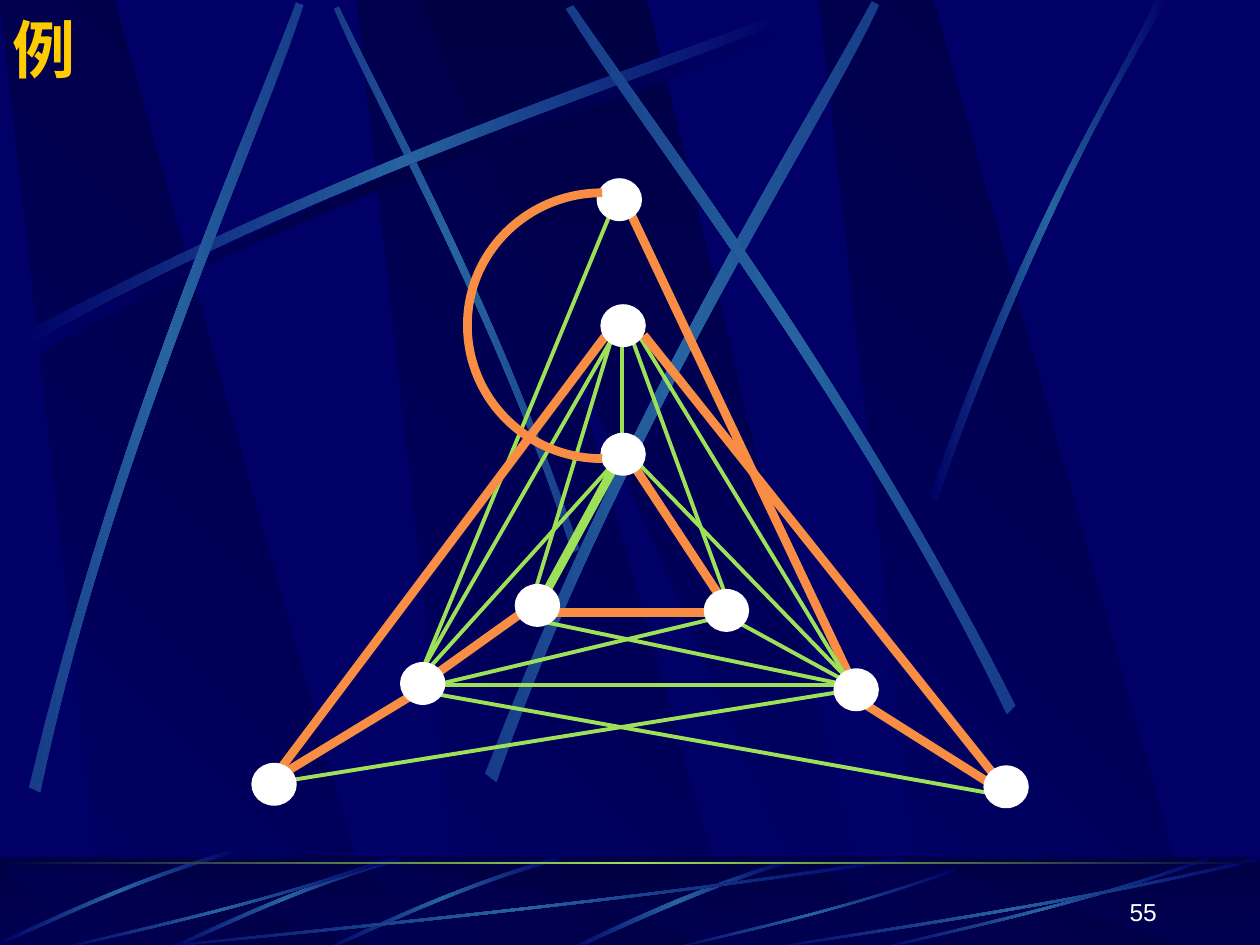
from lxml import etree
from pptx import Presentation
from pptx.dml.color import RGBColor
from pptx.enum.shapes import MSO_CONNECTOR, MSO_SHAPE
from pptx.enum.text import MSO_ANCHOR, PP_ALIGN
from pptx.oxml.ns import qn
from pptx.util import Inches, Pt

RECTANGLE, OVAL = MSO_SHAPE.RECTANGLE, MSO_SHAPE.OVAL
STRAIGHT = MSO_CONNECTOR.STRAIGHT
LEFT, RIGHT = PP_ALIGN.LEFT, PP_ALIGN.RIGHT
MIDDLE, BOTTOM = MSO_ANCHOR.MIDDLE, MSO_ANCHOR.BOTTOM

NAVY, DARK, STREAK, SOFT = "000066", "000044", "2663A0", "173C89"
GREEN, ORANGE, WHITE, YELLOW = "9CE157", "F98D43", "FFFFFF", "FFCC00"
THIN, THICK = 2.25, 5


def color(value):
    return RGBColor.from_string(value)


def scaled(points, left, top, width, height):
    return [(left + x * width, top + y * height) for x, y in points]


class GraphPage:
    """The style and the current slide."""

    def __init__(self, page):
        self.page = page
        self.shapes = page.shapes

    def background(self, value):
        fill = self.page.background.fill
        fill.solid()
        fill.fore_color.rgb = color(value)

    def paint(self, shape, colors, angle=0):
        """Fill with one colour, or with evenly spaced gradient colours."""
        shape.shadow.inherit = False
        shape.line.fill.background()
        if len(colors) == 1:
            shape.fill.solid()
            shape.fill.fore_color.rgb = color(colors[0])
            return
        shape.fill.gradient()
        shape.fill.gradient_angle = (360 - angle) % 360
        stops = shape._element.spPr.find(qn("a:gradFill")).find(qn("a:gsLst"))
        for stop in list(stops):
            stops.remove(stop)
        for index, value in enumerate(colors):
            position = round(100000 * index / (len(colors) - 1))
            stop = etree.SubElement(stops, qn("a:gs"), pos=str(position))
            etree.SubElement(stop, qn("a:srgbClr"), val=value)

    def rectangle(self, left, top, width, height, colors, angle=0, alpha=None):
        box = self.shapes.add_shape(RECTANGLE, Inches(left), Inches(top), Inches(width), Inches(height))
        self.paint(box, colors, angle)
        if alpha:
            solid = box._element.spPr.find(qn("a:solidFill"))
            etree.SubElement(solid[0], qn("a:alpha"), val=str(alpha * 1000))

    def outline(self, points, close=True, curves=()):
        """Join points; each index in curves starts a cubic of three points."""
        points = [(Inches(x), Inches(y)) for x, y in points]
        builder = self.shapes.build_freeform(*points[0], scale=1.0)
        builder.add_line_segments(points[1:], close=close)
        shape = builder.convert_to_shape()
        segments = list(shape._element.iter(qn("a:lnTo")))
        for first in curves:
            cubic = etree.Element(qn("a:cubicBezTo"))
            segments[first].addprevious(cubic)
            for segment in segments[first:first + 3]:
                cubic.append(segment[0])
                segment.getparent().remove(segment)
        return shape

    def polygon(self, points, colors, angle):
        self.paint(self.outline(points), colors, angle)

    def streak(self, points, end=NAVY, middle=STREAK):
        self.paint(self.outline(points, curves=(0, 4)), [end, middle, end])

    def arc(self, points, value, width):
        shape = self.outline(points, close=False, curves=(0, 3))
        shape.shadow.inherit = False
        shape.fill.background()
        shape.line.color.rgb = color(value)
        shape.line.width = Pt(width)

    def edge(self, x1, y1, x2, y2, value, width):
        line = self.shapes.add_connector(STRAIGHT, Inches(x1), Inches(y1), Inches(x2), Inches(y2))
        line.line.color.rgb = color(value)
        line.line.width = Pt(width)
        etree.SubElement(line._element.spPr, qn("a:effectLst"))

    def node(self, left, top):
        dot = self.shapes.add_shape(OVAL, Inches(left), Inches(top), Inches(0.35), Inches(0.33))
        self.paint(dot, [WHITE])
        dot.line.color.rgb = color(WHITE)
        dot.line.width = Pt(0.75)

    def text(self, left, top, width, height, words, size, font, value, align, anchor, bold=False):
        box = self.shapes.add_textbox(Inches(left), Inches(top), Inches(width), Inches(height))
        frame = box.text_frame
        frame.word_wrap = True
        frame.vertical_anchor = anchor
        para = frame.paragraphs[0]
        para.text = words
        para.alignment = align
        para.font.name, para.font.size, para.font.bold = font, Pt(size), bold
        para.font.color.rgb = color(value)


# Unit outlines, scaled into place
BAND = [(0.28, 1), (1, 1), (0.3, 0), (0, 0)]
WEDGE = [(0, 0), (0.9, 1), (1, 1), (0.5, 0)]
BLADE = [(1, 0.04), (0.57, 0.57), (0.17, 0.85), (0, 1),
         (0, 0.99), (0.17, 0.81), (0.62, 0.51), (1, 0)]

# Streaks across the page: points, end colour, middle colour
RISING = [(0.14, 2.67), (2.78, 1.25), (5.18, 0.51), (6.2, 0.1),
          (6.23, 0.16), (5.22, 0.61), (2.48, 1.43), (0.17, 2.77)]
PAGE_STREAKS = [
    (scaled(RISING, 0.06, 0.08, 1, 1), NAVY, DARK),
    ([(4.6, 4.36), (3.91, 2.34), (3.02, 0.77), (2.69, 0.05),
      (2.65, 0.07), (2.95, 0.79), (3.98, 2.58), (4.54, 4.39)], SOFT, STREAK),
    (RISING, NAVY, STREAK),
    ([(0.23, 6.25), (0.93, 3.34), (1.97, 1.05), (2.35, 0.02),
      (2.41, 0.04), (2.07, 1.09), (0.86, 3.68), (0.32, 6.29)], SOFT, STREAK),
    ([(3.85, 6.14), (4.98, 3.2), (6.38, 1.02), (6.92, 0.01),
      (6.98, 0.04), (6.49, 1.08), (4.86, 3.55), (3.94, 6.21)], SOFT, STREAK),
    ([(8.06, 5.6), (6.7, 2.93), (5.16, 0.95), (4.55, 0.04),
      (4.49, 0.07), (5.07, 1.01), (6.85, 3.25), (7.99, 5.67)], SOFT, STREAK),
    ([(7.38, 3.94), (8.14, 1.73), (8.88, 0.66), (9.17, 0),
      (9.27, 0), (8.36, 1.45), (7.69, 3.22), (7.44, 3.97)], NAVY, STREAK),
]

# Streaks in the footer
FOOTER_LONG = [(6.27, 6.82), (5.37, 7.09), (4.77, 7.42), (4.48, 7.54),
               (4.53, 7.55), (4.9, 7.38), (5.71, 7), (6.28, 6.85)]
FOOTER_SHORT = [(4.42, 6.8), (3.55, 7.05), (2.87, 7.4), (2.56, 7.53),
                (2.57, 7.55), (2.88, 7.43), (3.65, 7.03), (4.44, 6.83)]
SHORT_SHIFTS = [(0, 0), (-1.25, 0), (-2.56, -0.06)]
BLADE_BOXES = [(1, 6.8, 6.17, 0.75), (0.42, 6.8, 2.67, 0.75), (5.27, 6.89, 2.31, 0.66),
               (6.92, 6.8, 2.67, 0.75), (6, 6.8, 4, 0.75)]

# Graph edges: thick orange ones form the cycle
CYCLE, PLAIN, HEAVY = (ORANGE, THICK), (GREEN, THIN), (GREEN, THICK)
EDGES = [
    (4.35, 4.86, 5.64, 4.86, CYCLE), (4.94, 2.7, 4.94, 3.52, PLAIN),
    (3.44, 5.44, 6.82, 5.44, PLAIN), (4.89, 3.68, 4.29, 4.78, HEAVY),
    (5.02, 3.68, 5.79, 4.85, CYCLE), (4.85, 2.7, 4.21, 4.81, PLAIN),
    (4.85, 1.68, 3.3, 5.44, PLAIN), (4.98, 1.64, 6.74, 5.36, CYCLE),
    (5.02, 2.7, 5.79, 4.81, PLAIN), (5.07, 2.66, 6.78, 5.48, PLAIN),
    (4.85, 2.7, 3.35, 5.32, PLAIN), (5.11, 2.66, 7.89, 6.15, CYCLE),
    (4.81, 2.66, 2.19, 6.15, CYCLE), (6.77, 5.53, 7.94, 6.27, CYCLE),
    (3.3, 5.48, 7.94, 6.31, PLAIN), (5.84, 4.93, 6.7, 5.4, PLAIN),
    (4.16, 4.85, 3.39, 5.4, CYCLE), (3.25, 5.53, 2.23, 6.15, CYCLE),
    (4.29, 4.93, 6.74, 5.44, PLAIN), (2.32, 6.19, 6.74, 5.48, PLAIN),
    (5.07, 3.68, 6.74, 5.4, PLAIN), (3.44, 5.44, 5.75, 4.89, PLAIN),
    (3.39, 5.32, 4.94, 3.6, PLAIN),
]
NODES = [(2, 6.06), (3.18, 5.26), (4.09, 4.64), (4.74, 1.42), (4.77, 2.42),
         (4.77, 3.44), (5.59, 4.68), (6.62, 5.31), (7.81, 6.08)]
CYCLE_ARC = [(4.78, 1.53), (4.19, 1.53), (3.71, 2), (3.71, 2.58),
             (3.71, 3.17), (4.19, 3.64), (4.78, 3.64)]


def draw_bands(graph, top, height):
    for left in (2.83, 0, 6.5):
        graph.polygon(scaled(BAND, left, top, 3.02, height), [NAVY, DARK], 315)
    graph.polygon(scaled(WEDGE, 3.33, top, 3.61, height), [DARK, NAVY], 90)


def main():
    deck = Presentation()
    deck.slide_width, deck.slide_height = Inches(10), Inches(7.5)
    graph = GraphPage(deck.slides.add_slide(deck.slide_layouts[6]))

    # Backdrop
    graph.background(NAVY)
    draw_bands(graph, 0, 7.52)
    for points, end, middle in PAGE_STREAKS:
        graph.streak(points, end, middle)

    # Footer
    graph.rectangle(0, 6.8, 10, 0.75, [DARK, NAVY], 90)
    draw_bands(graph, 6.88, 0.67)
    graph.rectangle(0, 6.8, 10, 0.75, [DARK], alpha=50)
    graph.streak(FOOTER_LONG)
    for right, down in SHORT_SHIFTS:
        graph.streak(scaled(FOOTER_SHORT, right, down, 1, 1))
    for bounds in BLADE_BOXES:
        graph.streak(scaled(BLADE, *bounds))
    graph.rectangle(0, 6.84, 10, 0.02, [DARK, GREEN, DARK])

    # Title
    graph.text(0, 0.03, 8.5, 0.71, "例", 36, "Montserrat", YELLOW, LEFT, MIDDLE, bold=True)

    # Graph
    for x1, y1, x2, y2, style in EDGES:
        graph.edge(x1, y1, x2, y2, *style)
    for left, top in NODES:
        graph.node(left, top)
    graph.arc(CYCLE_ARC, *CYCLE)

    # Page number
    graph.text(7.2, 6.9, 2.08, 0.5, "55", 14, "Arial", WHITE, RIGHT, BOTTOM)

    deck.save("out.pptx")


if __name__ == "__main__":
    main()
